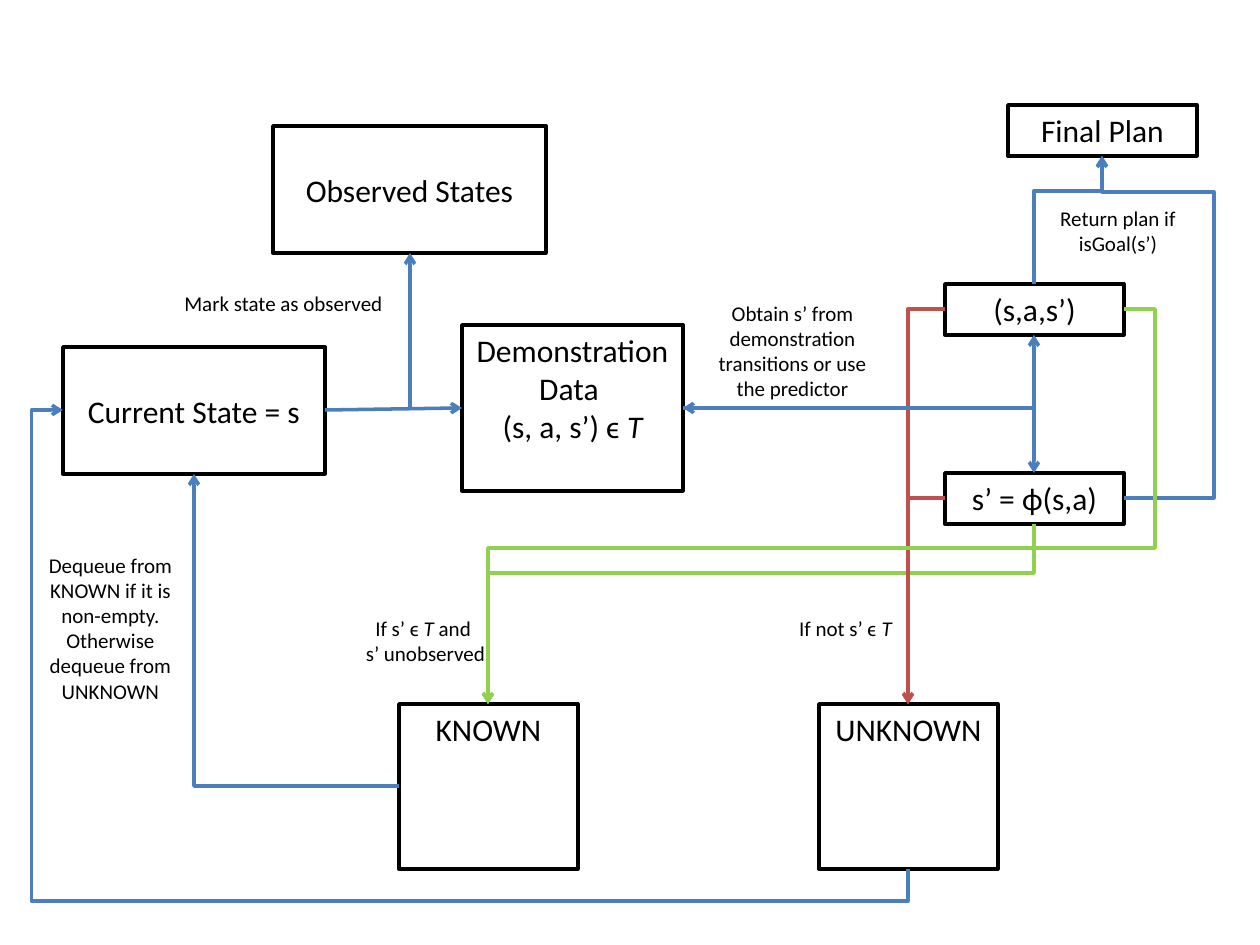
"""Build the flow diagram of planning from demonstration data."""
import pptx
import pptx.dml.color
import pptx.enum.shapes
import pptx.enum.text
import pptx.oxml
import pptx.oxml.ns
import pptx.util
from lxml import etree

RGBColor = pptx.dml.color.RGBColor
BLACK = RGBColor(0x00, 0x00, 0x00)
BLUE = RGBColor(0x4B, 0x7E, 0xBC)
GREEN = RGBColor(0x92, 0xD0, 0x50)
RED = RGBColor(0xC0, 0x50, 0x4D)
TOP = pptx.enum.text.MSO_ANCHOR.TOP
MIDDLE = pptx.enum.text.MSO_ANCHOR.MIDDLE
qn = pptx.oxml.ns.qn


def emu(pixels):
    return round(pixels * 914400 / 126)


class Diagram:
    font = "Calibri"
    line_width = pptx.util.Pt(2)

    def __init__(self, slide):
        self.shapes = slide.shapes

    def add_text(self, sp, paragraphs, size, anchor=TOP):
        tf = sp.text_frame
        for name, value in {"word_wrap": True, "vertical_anchor": anchor}.items():
            setattr(tf, name, value)
        for i, text in enumerate(paragraphs):
            p = tf.add_paragraph() if i else tf.paragraphs[0]
            p.alignment = pptx.enum.text.PP_ALIGN.CENTER
            for j, part in enumerate(text.split("*")):
                if not part:
                    continue
                r = p.add_run()
                r.text = part
                style = {"name": self.font, "size": pptx.util.Pt(size), "italic": j % 2 == 1}
                for name, value in style.items():
                    setattr(r.font, name, value)
                r.font.color.rgb = BLACK

    def box(self, at, paragraphs, anchor=TOP):
        kind = pptx.enum.shapes.MSO_SHAPE.RECTANGLE
        sp = self.shapes.add_shape(kind, *map(emu, at))
        sp.shadow.inherit = False
        sp.fill.background()
        sp.line.color.rgb = BLACK
        sp.line.width = self.line_width
        self.add_text(sp, paragraphs, 18, anchor)

    def label(self, at, paragraphs):
        self.add_text(self.shapes.add_textbox(*map(emu, at)), paragraphs, 12)

    def arrow(self, points, color, both_ends=False):
        (x1, y1), (x2, y2) = points[0], points[-1]
        bends = len(points) - 2
        dx, dy = (x2 - x1) / 2, (y2 - y1) / 2
        cx, cy = x1 + dx, y1 + dy
        vertical = bends > 0 and points[1][0] == x1
        rotation, u, v = 0, dx, dy
        if vertical:
            rotation, u, v = 90, dy, -dx
        elif bends == 1 and dx < 0:
            rotation, u, v = 180, -dx, -dy
        types = pptx.enum.shapes.MSO_CONNECTOR
        c = self.shapes.add_connector(
            types.ELBOW if bends else types.STRAIGHT,
            *map(emu, (cx - u, cy - v, cx + u, cy + v)))
        c.line.color.rgb = color
        c.line.width = self.line_width
        pr = c._element.spPr
        if rotation:
            pr.find(qn("a:xfrm")).set("rot", str(rotation * 60000))
        if bends:
            geom = pr.find(qn("a:prstGeom"))
            geom.set("prst", f"bentConnector{bends + 1}")
            guides = geom.get_or_add_avLst()
            for i in range(1, bends):
                axis = (i + 1 + vertical) % 2
                start, end = points[0][axis], points[-1][axis]
                ratio = round((points[i][axis] - start) / (end - start) * 100000)
                etree.SubElement(guides, qn("a:gd"), name=f"adj{i}", fmla=f"val {ratio}")
        ln = pr.find(qn("a:ln"))
        for end in ("a:headEnd", "a:tailEnd") if both_ends else ("a:tailEnd",):
            etree.SubElement(ln, qn(end), type="arrow")
        etree.SubElement(pr, qn("a:effectLst"))


prs = pptx.Presentation()
prs.slide_width, prs.slide_height = emu(1260), emu(945)
d = Diagram(prs.slides.add_slide(prs.slide_layouts[6]))

for at, paragraphs, anchor in [
    ((63, 347, 262, 127), ["Current State = s"], MIDDLE),
    ((273, 126, 273, 127), ["Observed States"], MIDDLE),
    ((462, 325, 221, 166), ["Demonstration ", "Data ", "(s, a, s’) ϵ *T*"], TOP),
    ((1008, 105, 189, 51), ["Final Plan"], TOP),
    ((945, 284, 179, 51), ["(s,a,s’)"], TOP),
    ((945, 473, 179, 51), ["s’ = ϕ(s,a)"], TOP),
    ((399, 704, 179, 165), ["KNOWN"], TOP),
    ((819, 704, 179, 165), ["UNKNOWN"], TOP),
]:
    d.box(at, paragraphs, anchor)

for points, color in [
    ([(325, 410), (462, 408)], BLUE),
    ([(410, 409), (410, 253)], BLUE),
    ([(1124, 498), (1214, 498), (1214, 192), (1102, 192), (1102, 156)], BLUE),
    ([(1034, 284), (1034, 191), (1102, 191), (1102, 156)], BLUE),
    ([(683, 408), (1034, 408), (1034, 335)], BLUE),
    ([(1034, 524), (1034, 573), (488, 573), (488, 704)], GREEN),
    ([(945, 498), (908, 498), (908, 704)], RED),
    ([(945, 309), (908, 309), (908, 704)], RED),
    ([(1124, 309), (1155, 309), (1155, 548), (488, 548), (488, 704)], GREEN),
    ([(399, 786), (194, 786), (194, 474)], BLUE),
    ([(908, 869), (908, 901), (32, 901), (32, 410), (63, 410)], BLUE),
]:
    d.arrow(points, color)
d.arrow([(683, 408), (1034, 408), (1034, 473)], BLUE, both_ends=True)

for at, paragraphs in [
    ((987, 199, 262, 63), ["Return plan if", "isGoal(s’)"]),
    ((126, 284, 315, 38), ["Mark state as observed"]),
    ((703, 294, 179, 115), ["Obtain s’ from demonstration", "transitions or use the predictor"]),
    ((336, 609, 179, 63), ["If s’ ϵ *T *and ", "s’ unobserved"]),
    ((756, 609, 179, 38), ["If not s’ ϵ *T*"]),
    ((21, 546, 179, 165),
     ["Dequeue from KNOWN if it is non-empty. Otherwise dequeue from UNKNOWN"]),
]:
    d.label(at, paragraphs)

prs.save("out.pptx")
